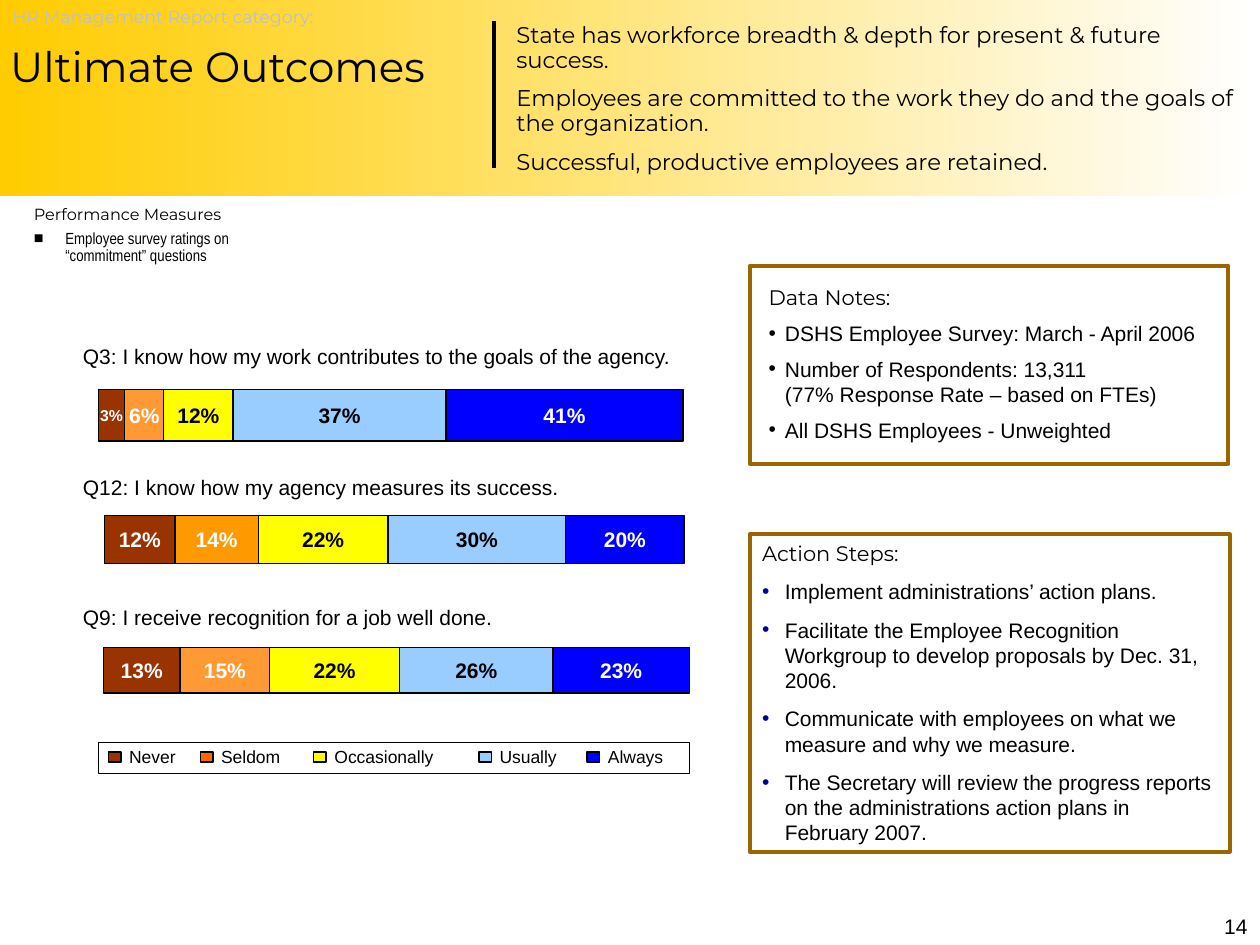
"""Builds the Ultimate Outcomes slide with its survey bars, data notes and action steps."""
from itertools import pairwise

from lxml import etree
from pptx import Presentation
from pptx.dml.color import RGBColor
from pptx.enum.shapes import MSO_CONNECTOR, MSO_SHAPE
from pptx.enum.text import MSO_ANCHOR, MSO_AUTO_SIZE, PP_ALIGN
from pptx.oxml.ns import qn
from pptx.util import Inches, Pt

RECT = MSO_SHAPE.RECTANGLE
LEFT, CENTER, RIGHT = PP_ALIGN.LEFT, PP_ALIGN.CENTER, PP_ALIGN.RIGHT
TOP, MIDDLE = MSO_ANCHOR.TOP, MSO_ANCHOR.MIDDLE

THEME = {
    "black": "000000", "white": "FFFFFF", "gold": "FFCC00", "silver": "C0C0C0",
    "frame": "996600", "bullet": "000099",
    "never": "993300", "seldom": "FF9933", "seldom_q12": "FF9900", "seldom_key": "FF6600",
    "occasionally": "FFFF00", "usually": "99CCFF", "always": "0000FF",
    "head": "Montserrat", "body": "Arial", "narrow": "Arial Narrow",
    "title": 24, "goal": 13, "text": 12, "small": 10, "measure": 9.2, "narrow_share": 9,
}

prs = Presentation()
prs.slide_width, prs.slide_height = Inches(10), Inches(7.5)
COL, ROW = prs.slide_width / 100, prs.slide_height / 75
s = prs.slides.add_slide(prs.slide_layouts[5])


def add_box(x, y, w, h, fill=None, line=None, width=0.75):
    """Add a rectangle on the grid."""
    sp = s.shapes.add_shape(RECT, int(x * COL), int(y * ROW), int(w * COL), int(h * ROW))
    sp.shadow.inherit = False
    if fill:
        sp.fill.solid()
        sp.fill.fore_color.rgb = RGBColor.from_string(THEME[fill])
    else:
        sp.fill.background()
    if line:
        sp.line.color.rgb = RGBColor.from_string(THEME[line])
        sp.line.width = Pt(width)
    else:
        sp.line.fill.background()
    return sp


def write(sp, lines, size="text", color="black", bold=False, align=LEFT, anchor=TOP,
          inset=(0.1, 0.05), wrap=True, before=0, spacing=1.0, indent=0):
    """Fill a shape with (text, font, bullet, bullet colour) paragraphs."""
    tf = sp.text_frame
    frame = {"word_wrap": wrap, "auto_size": MSO_AUTO_SIZE.NONE, "vertical_anchor": anchor,
             "margin_left": Inches(inset[0]), "margin_right": Inches(inset[0]),
             "margin_top": Inches(inset[1]), "margin_bottom": Inches(inset[1])}
    for name, value in frame.items():
        setattr(tf, name, value)
    for i, (text, font, bullet, bullet_color) in enumerate(lines):
        p = tf.add_paragraph() if i else tf.paragraphs[0]
        p.text = text
        if indent:
            pPr = p._p.get_or_add_pPr()
            pPr.set("marL", str(Inches(indent)))
            pPr.set("indent", str(-Inches(indent)))
            if bullet:
                clr = etree.SubElement(pPr, qn("a:buClr"))
                etree.SubElement(clr, qn("a:srgbClr"), val=THEME[bullet_color])
                etree.SubElement(pPr, qn("a:buFont"), typeface=THEME["body"])
                etree.SubElement(pPr, qn("a:buChar"), char=bullet)
        layout = {"alignment": align, "line_spacing": spacing, "space_before": Pt(before if i else 0)}
        for name, value in layout.items():
            setattr(p, name, value)
        for r in p.runs:
            for name, value in {"name": THEME[font], "size": Pt(THEME[size]), "bold": bold}.items():
                setattr(r.font, name, value)
            r.font.color.rgb = RGBColor.from_string(THEME[color])


title = s.shapes.title
title.left, title.top, title.width, title.height = 0, 0, prs.slide_width, int(15.6 * ROW)
title.fill.gradient()
title.fill.gradient_angle = 0
for stop, color in zip(title.fill.gradient_stops, ("gold", "white")):
    stop.color.rgb = RGBColor.from_string(THEME[color])
write(title, [("Ultimate Outcomes", "head", None, None)], size="title", inset=(0.08, 0.04), spacing=1.7)

write(add_box(0, 0, 30, 2.7), [("HR Management Report category:", "head", None, None)],
      size="small", color="silver")

goals = ["State has workforce breadth & depth for present & future success.",
         "Employees are committed to the work they do and the goals of the organization.",
         "Successful, productive employees are retained."]
write(add_box(40, 1.4, 60, 11.1), [(g, "head", None, None) for g in goals],
      size="goal", before=8.1, spacing=0.9)

divider = s.shapes.add_connector(MSO_CONNECTOR.STRAIGHT, int(39.2 * COL), int(1.7 * ROW),
                                 int(39.2 * COL), int(13.3 * ROW))
divider.line.color.rgb = RGBColor.from_string(THEME["black"])
divider.line.width = Pt(2.25)
etree.SubElement(divider._element.spPr, qn("a:effectLst"))

write(add_box(1.7, 15.9, 22.5, 6.1),
      [("Performance Measures", "head", None, None),
       ("Employee survey ratings on “commitment” questions", "narrow", "■", "black")],
      size="measure", before=3.7, spacing=0.9, indent=0.25)

notes = ["DSHS Employee Survey: March - April 2006",
         "Number of Respondents: 13,311\v(77% Response Rate – based on FTEs)",
         "All DSHS Employees - Unweighted"]
write(add_box(59.5, 21.1, 38, 15.7, line="frame", width=2.25),
      [("Data Notes:", "head", None, None)] + [(n, "body", "•", "black") for n in notes],
      inset=(0.15, 0.15), before=6, indent=0.13)

steps = ["Implement administrations’ action plans.",
         "Facilitate the Employee Recognition Workgroup to develop proposals by Dec. 31, 2006.",
         "Communicate with employees on what we measure and why we measure.",
         "The Secretary will review the progress reports on the administrations action plans in February 2007."]
write(add_box(59.5, 42.4, 38.1, 25.2, line="frame", width=2.25),
      [("Action Steps:", "head", None, None)] + [(t, "body", "•", "bullet") for t in steps],
      before=7.5, indent=0.18)

questions = [
    ("Q3: I know how my work contributes to the goals of the agency.", 26.8, 30.9, 4.1,
     [7.8, 9.9, 13, 18.5, 35.4, 54.2], [3, 6, 12, 37, 41], "seldom"),
    ("Q12: I know how my agency measures its success.", 37.2, 40.9, 3.8,
     [8.3, 13.9, 20.5, 30.8, 44.9, 54.3], [12, 14, 22, 30, 20], "seldom_q12"),
    ("Q9: I receive recognition for a job well done.", 47.5, 51.4, 3.6,
     [8.2, 14.3, 21.4, 31.7, 43.9, 54.7], [13, 15, 22, 26, 23], "seldom"),
]
for question, text_y, bar_y, bar_h, edges, shares, seldom in questions:
    write(add_box(5.6, text_y, 59.2, 3), [(question, "body", None, None)], wrap=False)
    fills = ["never", seldom, "occasionally", "usually", "always"]
    for (x, end), share, fill in zip(pairwise(edges), shares, fills):
        write(add_box(x, bar_y, end - x, bar_h, fill, "black"), [(f"{share}%", "body", None, None)],
              size="narrow_share" if end - x < 2.5 else "text",
              color="black" if fill in ("occasionally", "usually") else "white",
              bold=True, align=CENTER, anchor=MIDDLE, inset=(0, 0), wrap=False)

add_box(7.8, 58.9, 46.9, 2.5, "white", "black", 0)
legend = [("Never", 8.6, "never"), ("Seldom", 15.9, "seldom_key"), ("Occasionally", 24.9, "occasionally"),
          ("Usually", 38, "usually"), ("Always", 46.6, "always")]
for label, x, fill in legend:
    add_box(x, 59.7, 1, 0.8, fill, "black", 0.88)
    write(add_box(x + 1.65, 59.2, 8, 1.7), [(label, "body", None, None)],
          size="small", inset=(0, 0), wrap=False)

write(add_box(77.2, 72, 22.8, 3), [("14", "body", None, None)], align=RIGHT)

prs.save("out.pptx")
